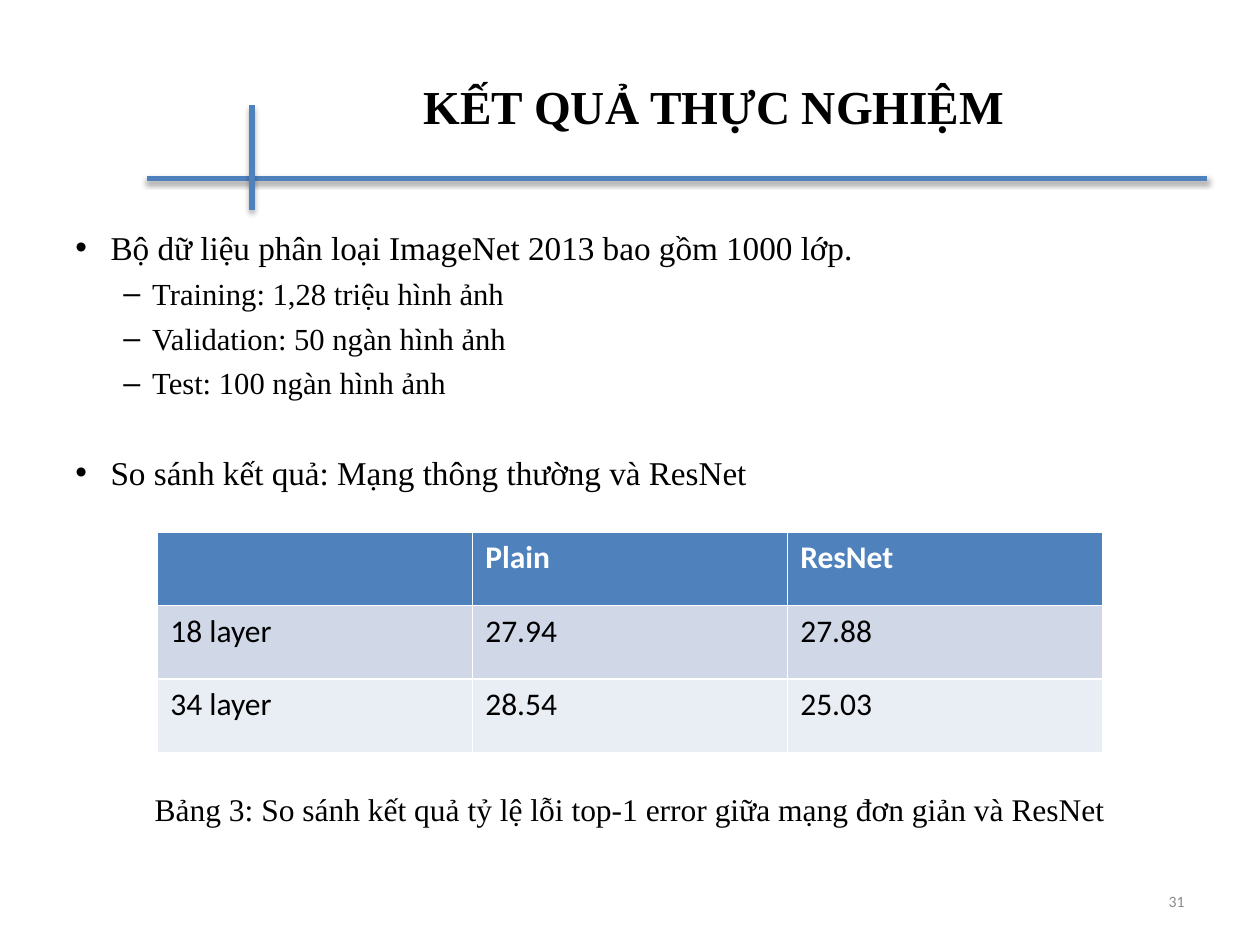
from lxml import etree
from pptx import Presentation
from pptx.dml.color import RGBColor
from pptx.enum.shapes import MSO_CONNECTOR
from pptx.enum.text import MSO_ANCHOR, PP_ALIGN
from pptx.oxml import parse_xml
from pptx.oxml.ns import nsdecls, qn
from pptx.util import Cm, Pt

LINE = MSO_CONNECTOR.STRAIGHT
MIDDLE, TOP = MSO_ANCHOR.MIDDLE, MSO_ANCHOR.TOP
LEFT, CENTER, RIGHT = PP_ALIGN.LEFT, PP_ALIGN.CENTER, PP_ALIGN.RIGHT

BLUE = RGBColor(0x4F, 0x81, 0xBD)
BANDS = (RGBColor(0xD0, 0xD8, 0xE8), RGBColor(0xE9, 0xED, 0xF4))
BLACK = RGBColor(0, 0, 0)
WHITE = RGBColor(0xFF, 0xFF, 0xFF)
GRAY = RGBColor(0x8C, 0x8C, 0x8C)

SERIF, SANS = "Times New Roman", "Calibri"

# Bullet levels: mark, text indent, hanging indent, size
LEVELS = (("•", Cm(0.71), Cm(0.71), 19), ("–", Cm(1.55), Cm(0.58), 17.5))
# Level, space before, text
POINTS = (
    (0, 0, "Bộ dữ liệu phân loại ImageNet 2013 bao gồm 1000 lớp."),
    (1, 4.6, "Training: 1,28 triệu hình ảnh"),
    (1, 4.6, "Validation: 50 ngàn hình ảnh"),
    (1, 4.6, "Test: 100 ngàn hình ảnh"),
    (0, 29, "So sánh kết quả: Mạng thông thường và ResNet"),
)
ROWS = (
    ("", "Plain", "ResNet"),
    ("18 layer", "27.94", "27.88"),
    ("34 layer", "28.54", "25.03"),
)
SHADOW = (
    f'<a:effectLst {nsdecls("a")}>'
    '<a:outerShdw blurRad="40000" dist="23000" dir="5400000" rotWithShape="0">'
    '<a:srgbClr val="000000"><a:alpha val="35000"/></a:srgbClr>'
    '</a:outerShdw></a:effectLst>'
)


def write(para, text, size, color=BLACK, name=SERIF, bold=False):
    run = para.add_run()
    run.text = text
    style = {"size": Pt(size), "name": name, "bold": bold}
    for key, value in style.items():
        setattr(run.font, key, value)
    run.font.color.rgb = color


def add_line(slide, start, end):
    line = slide.shapes.add_connector(LINE, *start, *end)
    line.line.color.rgb = BLUE
    line.line.width = Pt(3)
    line._element.spPr.append(parse_xml(SHADOW))


def add_title(slide, text, box):
    title = slide.shapes.title
    for key, value in zip(("left", "top", "width", "height"), box):
        setattr(title, key, value)
    frame = title.text_frame
    frame.vertical_anchor = MIDDLE
    para = frame.paragraphs[0]
    para.alignment = CENTER
    write(para, text, 27, bold=True)


def add_frame(slide, box, anchor=TOP):
    frame = slide.shapes.add_textbox(*box).text_frame
    frame.word_wrap = True
    frame.vertical_anchor = anchor
    return frame


def add_label(slide, text, box, align, anchor=TOP, **style):
    para = add_frame(slide, box, anchor).paragraphs[0]
    para.alignment = align
    write(para, text, **style)


def add_points(slide, box):
    frame = add_frame(slide, box)
    for i, (level, gap, text) in enumerate(POINTS):
        para = frame.add_paragraph() if i else frame.paragraphs[0]
        mark, indent, hang, size = LEVELS[level]
        props = para._p.get_or_add_pPr()
        props.set("marL", str(indent))
        props.set("indent", str(-hang))
        etree.SubElement(props, qn("a:buFont")).set("typeface", "Arial")
        etree.SubElement(props, qn("a:buChar")).set("char", mark)
        para.level = level
        para.alignment = LEFT
        para.space_before = Pt(gap)
        write(para, text, size)


def add_grid(slide, box):
    # The default table style supplies the white cell borders
    table = slide.shapes.add_table(len(ROWS), len(ROWS[0]), *box).table
    for r, row in enumerate(ROWS):
        head = r == 0
        for c, text in enumerate(row):
            cell = table.cell(r, c)
            cell.fill.solid()
            cell.fill.fore_color.rgb = BLUE if head else BANDS[(r - 1) % 2]
            if text:
                write(cell.text_frame.paragraphs[0], text, 18,
                      WHITE if head else BLACK, SANS, head)


def main():
    deck = Presentation()
    deck.slide_width, deck.slide_height = Cm(25.4), Cm(19.05)
    slide = deck.slides.add_slide(deck.slide_layouts[5])

    # Crossed rules and title
    add_line(slide, (Cm(2.96), Cm(3.6)), (Cm(24.34), Cm(3.6)))
    add_line(slide, (Cm(5.08), Cm(2.12)), (Cm(5.08), Cm(4.23)))
    add_title(slide, "KẾT QUẢ THỰC NGHIỆM",
              (Cm(2.96), Cm(0.53), Cm(22.86), Cm(3.18)))

    # Bullets
    add_points(slide, (Cm(1.27), Cm(4.45), Cm(22.86), Cm(12.57)))

    # Results and caption
    add_grid(slide, (Cm(3.18), Cm(10.73), Cm(19.05), Cm(4.44)))
    add_label(slide,
              "Bảng 3: So sánh kết quả tỷ lệ lỗi top-1 error giữa mạng đơn giản và ResNet",
              (Cm(2.59), Cm(15.8), Cm(20.22), Cm(1.02)), CENTER, size=18)

    # Page number
    add_label(slide, "31", (Cm(18.2), Cm(17.66), Cm(5.93), Cm(1.01)),
              RIGHT, MIDDLE, size=9, color=GRAY, name=SANS)

    deck.save("out.pptx")


if __name__ == "__main__":
    main()
